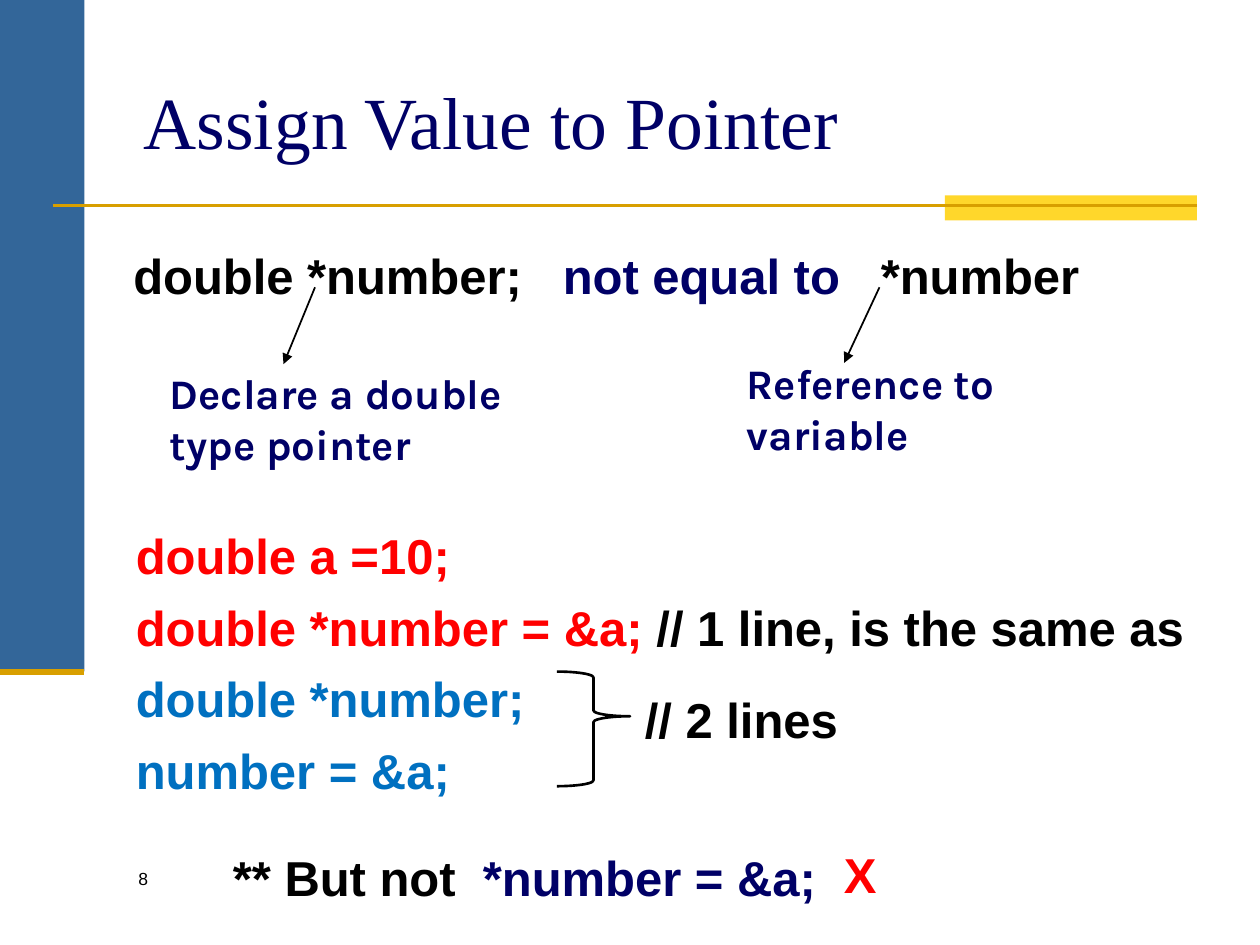
from dataclasses import dataclass

from lxml import etree
from pptx import Presentation
from pptx.dml.color import RGBColor
from pptx.enum.shapes import MSO_CONNECTOR, MSO_SHAPE
from pptx.enum.text import MSO_ANCHOR, PP_ALIGN
from pptx.oxml.ns import qn
from pptx.util import Inches, Pt

STRAIGHT = MSO_CONNECTOR.STRAIGHT
RECTANGLE = MSO_SHAPE.RECTANGLE
RIGHT_BRACE = MSO_SHAPE.RIGHT_BRACE
MIDDLE = MSO_ANCHOR.MIDDLE
LEFT = PP_ALIGN.LEFT
TITLE_ONLY = 5


@dataclass(frozen=True)
class Theme:
    black: RGBColor = RGBColor(0x00, 0x00, 0x00)
    navy: RGBColor = RGBColor(0x00, 0x00, 0x66)
    red: RGBColor = RGBColor(0xFF, 0x00, 0x00)
    blue: RGBColor = RGBColor(0x00, 0x70, 0xC0)
    band: RGBColor = RGBColor(0x33, 0x66, 0x99)
    yellow: RGBColor = RGBColor(0xFF, 0xD7, 0x2B)
    gold: RGBColor = RGBColor(0xD8, 0x9F, 0x00)
    title_size: Pt = Pt(42)
    code_size: Pt = Pt(28)
    label_size: Pt = Pt(24)
    number_size: Pt = Pt(10)


theme = Theme()

presentation = Presentation()
presentation.slide_width = Inches(10)
presentation.slide_height = Inches(7.5)
slide = presentation.slides.add_slide(presentation.slide_layouts[TITLE_ONLY])


def add_text(left, top, width, height, lines, size, font="Arial", bold=True):
    """Add a text box; each line is a list of (text, colour) runs."""
    box = slide.shapes.add_textbox(Inches(left), Inches(top), Inches(width), Inches(height))
    frame = box.text_frame
    frame.word_wrap = True
    for index, runs in enumerate(lines):
        paragraph = frame.paragraphs[0] if index == 0 else frame.add_paragraph()
        paragraph.font.name = font
        paragraph.font.size = size
        paragraph.font.bold = bold
        if len(lines) > 1:
            paragraph.space_after = Pt(7.4)
        for text, color in runs:
            run = paragraph.add_run()
            run.text = text
            run.font.color.rgb = color


def add_line(start_x, start_y, end_x, end_y, color, width, arrow=False):
    line = slide.shapes.add_connector(
        STRAIGHT, Inches(start_x), Inches(start_y), Inches(end_x), Inches(end_y))
    line.line.color.rgb = color
    line.line.width = Pt(width)
    if arrow:
        etree.SubElement(line.line._get_or_add_ln(), qn("a:tailEnd"), type="triangle")
    etree.SubElement(line._element.spPr, qn("a:effectLst"))


# Side band, accent block and gold rules
for left, top, width, height, color in [
    (0, 0, 0.67, 5.33, theme.band),
    (7.5, 1.55, 2, 0.2, theme.yellow),
]:
    block = slide.shapes.add_shape(
        RECTANGLE, Inches(left), Inches(top), Inches(width), Inches(height))
    block.shadow.inherit = False
    block.fill.solid()
    block.fill.fore_color.rgb = color
    block.line.fill.background()
add_line(0.42, 1.63, 9.5, 1.63, theme.gold, 1.5)
add_line(0, 5.33, 0.67, 5.33, theme.gold, 3.5)

# Title
title = slide.shapes.title
title.left, title.top = Inches(1.04), Inches(0.33)
title.width, title.height = Inches(8.5), Inches(1.25)
title.text_frame.text = "Assign Value to Pointer"
title.text_frame.vertical_anchor = MIDDLE
paragraph = title.text_frame.paragraphs[0]
paragraph.alignment = LEFT
paragraph.font.name = "Times New Roman"
paragraph.font.size = theme.title_size
paragraph.font.color.rgb = theme.navy

# Declaration compared with reference
add_text(0.96, 1.9, 8.6, 0.55, [[
    ("double *number;   ", theme.black),
    ("not equal to", theme.navy),
    ("   *number", theme.black),
]], theme.code_size)
for left, top, width, text in [
    (1.25, 2.87, 3.25, "Declare a double type pointer"),
    (5.83, 2.79, 2.55, "Reference to variable"),
]:
    add_text(left, top, width, 0.91, [[(text, theme.navy)]], theme.label_size, "Karla")
add_line(2.5, 2.28, 2.25, 2.89, theme.black, 1, arrow=True)
add_line(6.98, 2.28, 6.7, 2.88, theme.black, 1, arrow=True)

# One-line form and its two-line equivalent
add_text(0.98, 4.12, 8.7, 2.25, [
    [("double a =10;", theme.red)],
    [("double *number = &a; ", theme.red), ("// 1 line, is the same as", theme.black)],
    [("double *number;", theme.blue)],
    [("number = &a;", theme.blue)],
], theme.code_size)
brace = slide.shapes.add_shape(
    RIGHT_BRACE, Inches(4.42), Inches(5.33), Inches(0.58), Inches(0.91))
brace.adjustments[0] = 0.08
brace.adjustments[1] = 0.39
brace.shadow.inherit = False
brace.fill.background()
brace.line.color.rgb = theme.black
brace.line.width = Pt(1.5)
add_text(5.02, 5.42, 2.14, 0.57, [[("// 2 lines", theme.black)]], theme.code_size)

# Invalid form
add_text(1.75, 6.68, 4.9, 0.57, [[
    ("** But not  ", theme.black),
    ("*number = &a;", theme.navy),
]], theme.code_size)
add_text(6.6, 6.65, 0.57, 0.57, [[("X", theme.red)]], theme.code_size)

# Slide number
add_text(1, 6.84, 0.6, 0.5, [[("8", theme.black)]], theme.number_size, bold=False)

presentation.save("out.pptx")
